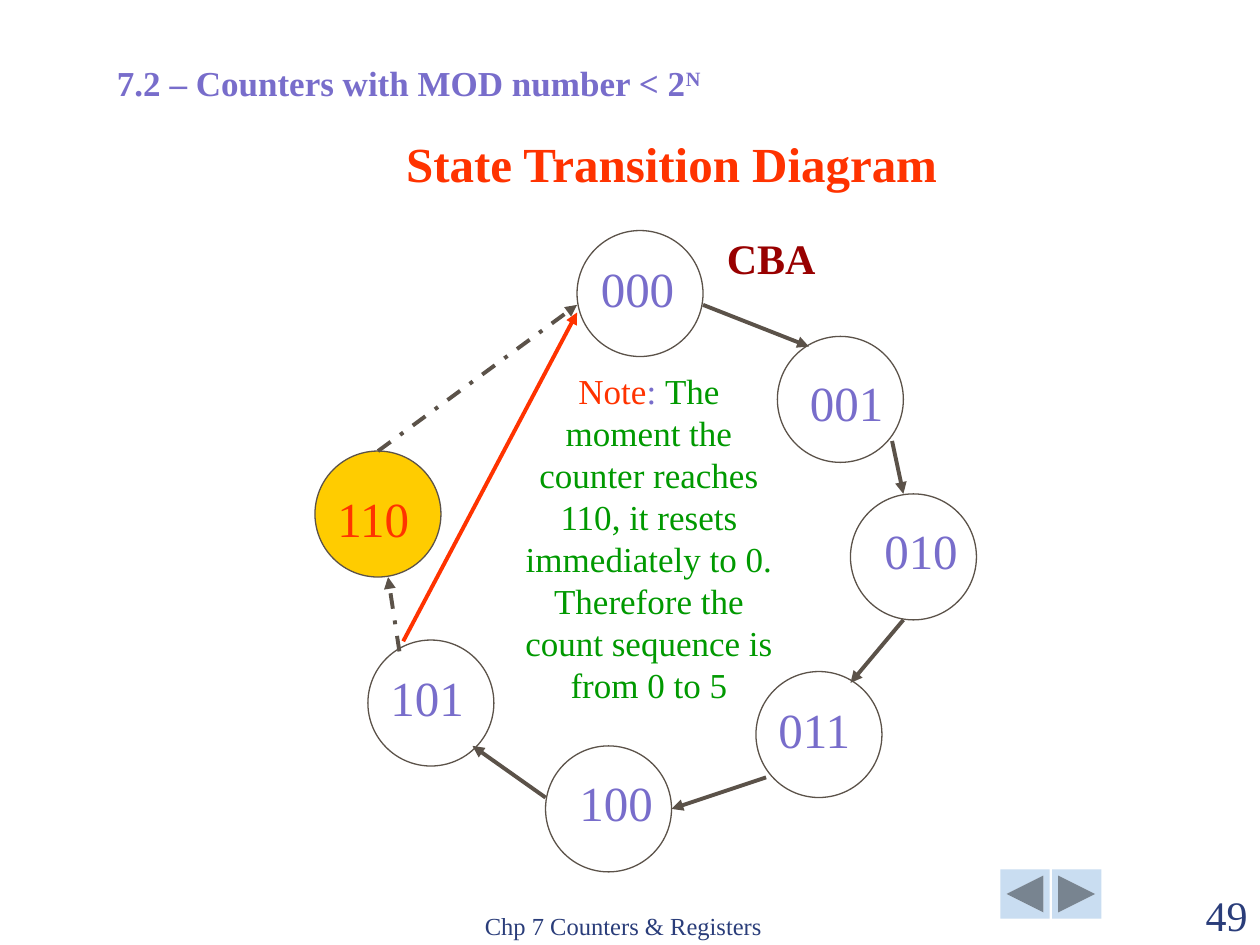
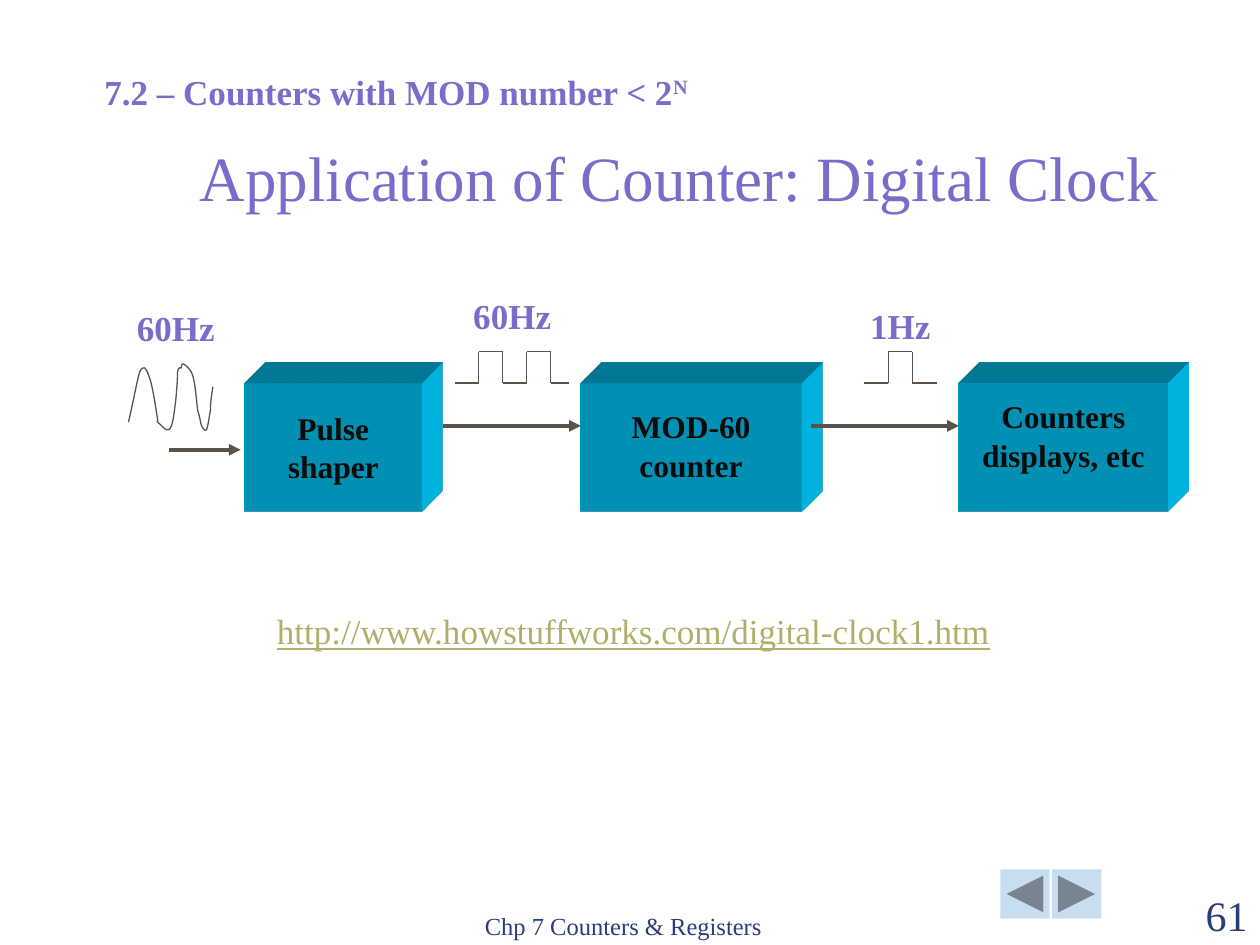
from pptx import Presentation
from pptx.dml.color import RGBColor
from pptx.enum.dml import MSO_LINE
from pptx.enum.shapes import MSO_CONNECTOR, MSO_SHAPE
from pptx.enum.text import MSO_ANCHOR, PP_ALIGN
from pptx.oxml.ns import qn
from pptx.util import Inches, Pt
from lxml.etree import SubElement

COLORS = {
    "violet": "786DCB", "orange": "FF3300", "navy": "2A3D7A", "ink": "5B5249",
    "maroon": "980000", "green": "009900", "yellow": "FFCC00", "button": "C9DDF1",
    "cyan": "00CCFF", "black": "0C0B0A", "link": "B0AE6A",
}
FONT = "Times New Roman"
SECTION = "7.2 – Counters with MOD number < 2"

STATES = [
    ("000", 4.58, 1.83, 0.09, 0.17),
    ("001", 6.17, 2.67, 0.16, 0.24),
    ("010", 6.75, 3.92, 0.17, 0.16),
    ("100", 4.33, 5.92, 0.17, 0.16),
    ("101", 2.92, 5.08, 0.08, 0.17),
    ("011", 6, 5.33, 0.08, 0.17),
    ("110", 2.5, 3.58, 0.08, 0.25),
]
TRANSITIONS = [
    ((5.58, 2.42), (6.42, 2.75)),
    ((7.08, 3.5), (7.17, 3.92)),
    ((7.17, 4.92), (6.75, 5.42)),
    ((6.08, 6.17), (5.33, 6.42)),
    ((4.33, 6.33), (3.75, 5.92)),
]
SKIPPED = [((3.17, 5.17), (3.08, 4.58)), ((3, 3.58), (4.58, 2.42))]
SINE = [
    (1.02, 3.35), (1.06, 3.18), (1.09, 3.01), (1.11, 2.95), (1.14, 2.89),
    (1.16, 2.92), (1.18, 2.98), (1.21, 3.04), (1.24, 3.26), (1.25, 3.32),
    (1.26, 3.38), (1.24, 3.33), (1.25, 3.35), (1.27, 3.36), (1.32, 3.43),
    (1.34, 3.41), (1.37, 3.39), (1.38, 3.3), (1.39, 3.22), (1.4, 3.15),
    (1.41, 3), (1.41, 2.95), (1.42, 2.9), (1.43, 2.93), (1.44, 2.92),
    (1.44, 2.91), (1.44, 2.88), (1.46, 2.89), (1.47, 2.9), (1.51, 2.92),
    (1.53, 2.98), (1.55, 3.04), (1.56, 3.19), (1.57, 3.26), (1.59, 3.32),
    (1.59, 3.35), (1.6, 3.38), (1.61, 3.4), (1.63, 3.43), (1.64, 3.41),
    (1.65, 3.39), (1.66, 3.31), (1.67, 3.26), (1.67, 3.2), (1.68, 3.13),
    (1.69, 3.07),
]


def rgb(name):
    return RGBColor.from_string(COLORS[name])


class SlideBuilder:
    def __init__(self, deck):
        self.deck = deck
        self.page = None

    def start(self, number, title, title_area, title_style, section_at):
        self.page = self.deck.slides.add_slide(self.deck.slide_layouts[5])
        for kind, left in ((MSO_SHAPE.ACTION_BUTTON_BACK_OR_PREVIOUS, 7.94),
                           (MSO_SHAPE.ACTION_BUTTON_FORWARD_OR_NEXT, 8.35)):
            self.shape(kind, (left, 6.9, 0.39, 0.39), "button")
        self.text((3.75, 7.01, 3.17, 0.5), [[("Chp 7 Counters & Registers", {})]],
                  {"size": 14, "color": "navy"}, anchor=MSO_ANCHOR.BOTTOM)
        self.text((9, 7.01, 1, 0.5), [[(str(number), {})]],
                  {"size": 24, "color": "navy"}, PP_ALIGN.RIGHT, MSO_ANCHOR.BOTTOM)
        box = self.page.shapes.title
        for name, value in zip(("left", "top", "width", "height"), title_area):
            setattr(box, name, Inches(value))
        self.fill_text(box, [[(title, {})]], title_style, PP_ALIGN.CENTER,
                       MSO_ANCHOR.BOTTOM)
        self.text((*section_at, 5.59, 0.43), [[(SECTION, {}), ("N", {"raised": True})]],
                  {"size": 20, "color": "violet", "bold": True})

    def format_span(self, span, style):
        values = {"name": FONT, "bold": False, **style}
        values["size"] = Pt(values["size"])
        span.font.color.rgb = rgb(values.pop("color"))
        if values.pop("raised", False):
            span._r.get_or_add_rPr().set("baseline", "30000")
        for name, value in values.items():
            setattr(span.font, name, value)

    def fill_text(self, box, paragraphs, style, align=PP_ALIGN.LEFT,
                  anchor=MSO_ANCHOR.TOP, wrap=True, spacing=None):
        frame = box.text_frame
        frame.word_wrap = wrap
        frame.vertical_anchor = anchor
        for index, spans in enumerate(paragraphs):
            para = frame.add_paragraph() if index else frame.paragraphs[0]
            para.alignment = align
            para.space_before = Pt(9 if index else 0)
            if spacing:
                para.line_spacing = spacing
            for words, changes in spans:
                span = para.add_run()
                span.text = words
                self.format_span(span, {**style, **changes})

    def text(self, area, paragraphs, style, *layout, **options):
        box = self.page.shapes.add_textbox(*map(Inches, area))
        self.fill_text(box, paragraphs, style, *layout, **options)

    def paint(self, shape, fill=None, line=None):
        shape.shadow.inherit = False
        if fill:
            shape.fill.solid()
            shape.fill.fore_color.rgb = rgb(fill)
        else:
            shape.fill.background()
        if line:
            shape.line.color.rgb = rgb(line)
            shape.line.width = Pt(0.75)
        else:
            shape.line.fill.background()

    def shape(self, kind, area, fill=None, line=None):
        shape = self.page.shapes.add_shape(kind, *map(Inches, area))
        self.paint(shape, fill, line)
        return shape

    def curve(self, controls):
        corners = [(Inches(x), Inches(y)) for x, y in controls]
        outline = self.page.shapes.build_freeform(*corners[0])
        outline.add_line_segments(corners[1:], close=False)
        shape = outline.convert_to_shape()
        self.paint(shape, line="ink")
        segments = list(shape._element.iter(qn("a:lnTo")))
        route = segments[0].getparent()
        for start in range(0, len(segments), 3):
            bend = SubElement(route, qn("a:cubicBezTo"))
            for segment in segments[start:start + 3]:
                bend.append(segment[0])
                route.remove(segment)

    def line(self, start, end, color="ink", width=0.75):
        line = self.page.shapes.add_connector(
            MSO_CONNECTOR.STRAIGHT, *map(Inches, (*start, *end)))
        line.line.color.rgb = rgb(color)
        line.line.width = Pt(width)
        SubElement(line._element.spPr, qn("a:effectLst"))
        return line

    def arrow(self, start, end, color="ink", dash=None):
        arrow = self.line(start, end, color, 2.25)
        if dash:
            arrow.line.dash_style = dash
        SubElement(arrow.line._get_or_add_ln(), qn("a:tailEnd"), type="triangle")

    def square_wave(self, left, right, pulses, step=0.19, low=3.04, high=2.79):
        points = [(left, low)]
        for pulse in range(pulses):
            rise = left + step * (2 * pulse + 1)
            fall = rise + step
            points += [(rise, low), (rise, high), (fall, high), (fall, low)]
        points.append((right, low))
        for start, end in zip(points, points[1:]):
            self.line(start, end)

    def state(self, code, left, top, shift_x, shift_y):
        reset = code == "110"
        self.shape(MSO_SHAPE.OVAL, (left, top, 1, 1), "yellow" if reset else None, "ink")
        self.text((left + shift_x, top + shift_y, 0.78, 0.57), [[(code, {})]],
                  {"size": 28, "color": "orange" if reset else "violet"}, wrap=False)

    def extrude(self, shape, color):
        properties = shape._element.spPr
        scene = SubElement(properties, qn("a:scene3d"))
        SubElement(scene, qn("a:camera"), prst="legacyObliqueTopRight")
        SubElement(scene, qn("a:lightRig"), rig="legacyFlat3", dir="b")
        solid = SubElement(properties, qn("a:sp3d"), extrusionH="430200",
                           prstMaterial="legacyMatte")
        for bevel in ("a:bevelT", "a:bevelB"):
            SubElement(solid, qn(bevel), w="13500", h="13500", prst="angle")
        tint = SubElement(solid, qn("a:extrusionClr"))
        SubElement(tint, qn("a:srgbClr"), val=COLORS[color])

    def block(self, left, width, label_top, lines, spacing=None):
        front = self.shape(MSO_SHAPE.RECTANGLE, (left, 3.04, width, 1.02), "cyan")
        self.extrude(front, "cyan")
        self.text((left, label_top, width, 0.61), [[(line, {})] for line in lines],
                  {"size": 18, "color": "black", "bold": True}, PP_ALIGN.CENTER,
                  spacing=spacing)

    def frequency(self, left, top, label):
        self.text((left, top, 1.25, 0.43), [[(label, {})]],
                  {"size": 20, "color": "violet", "bold": True}, PP_ALIGN.CENTER)


def add_state_diagram(builder):
    builder.start(49, "State Transition Diagram", (1.08, 0.91, 8.5, 0.67),
                  {"size": 28, "color": "orange", "bold": True}, (0.83, 0.44))
    for state in STATES:
        builder.state(*state)
    for start, end in TRANSITIONS:
        builder.arrow(start, end)
    for start, end in SKIPPED:
        builder.arrow(start, end, dash=MSO_LINE.DASH_DOT)
    builder.arrow((3.2, 5.09), (4.58, 2.48), "orange")
    builder.text((5.67, 1.8, 0.91, 0.5), [[("CBA", {})]],
                 {"size": 24, "color": "maroon", "bold": True}, wrap=False)
    note = [
        ("Note", {"color": "orange"}),
        (": ", {"color": "violet"}),
        ("The moment the counter reaches 110, it resets immediately to 0. "
         "Therefore the count sequence is from 0 to 5", {}),
    ]
    builder.text((4.04, 2.88, 2.22, 2.77), [note], {"size": 20, "color": "green"},
                 PP_ALIGN.CENTER)


def add_digital_clock(builder):
    builder.start(61, "Application of Counter: Digital Clock", (1.14, 0.92, 8.5, 0.83),
                  {"size": 36, "color": "violet"}, (0.73, 0.51))
    builder.block(1.94, 1.41, 3.2, ["Pulse shaper"])
    builder.block(4.61, 1.75, 3.29, ["MOD-60", "counter"], 0.6)
    builder.block(7.61, 1.66, 3.21, ["Counters", "displays, etc"], 0.6)
    for start, end in (((3.52, 3.38), (4.61, 3.38)), ((6.44, 3.38), (7.61, 3.38)),
                       ((1.34, 3.57), (1.91, 3.57))):
        builder.arrow(start, end)
    builder.square_wave(3.61, 4.52, 2)
    builder.square_wave(6.86, 7.44, 1)
    builder.curve(SINE)
    for left, top, label in ((0.77, 2.38, "60Hz"), (3.44, 2.29, "60Hz"),
                             (6.52, 2.37, "1Hz")):
        builder.frequency(left, top, label)
    builder.text((2.1, 4.79, 5.86, 0.43),
                 [[("http://www.howstuffworks.com/digital-clock1.htm", {})]],
                 {"size": 20, "color": "link", "underline": True}, wrap=False)


def main():
    deck = Presentation()
    deck.slide_width, deck.slide_height = Inches(10), Inches(7.5)
    builder = SlideBuilder(deck)
    add_state_diagram(builder)
    add_digital_clock(builder)
    deck.save("out.pptx")


if __name__ == "__main__":
    main()
